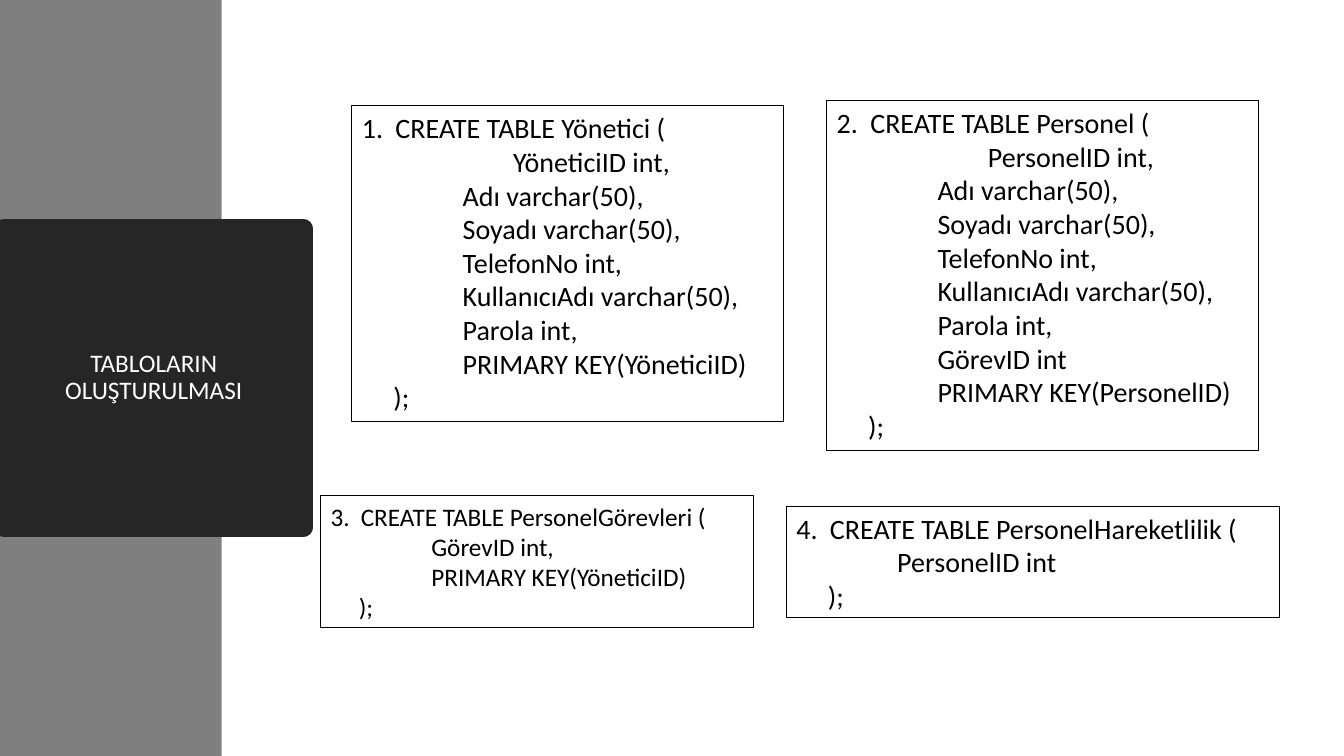
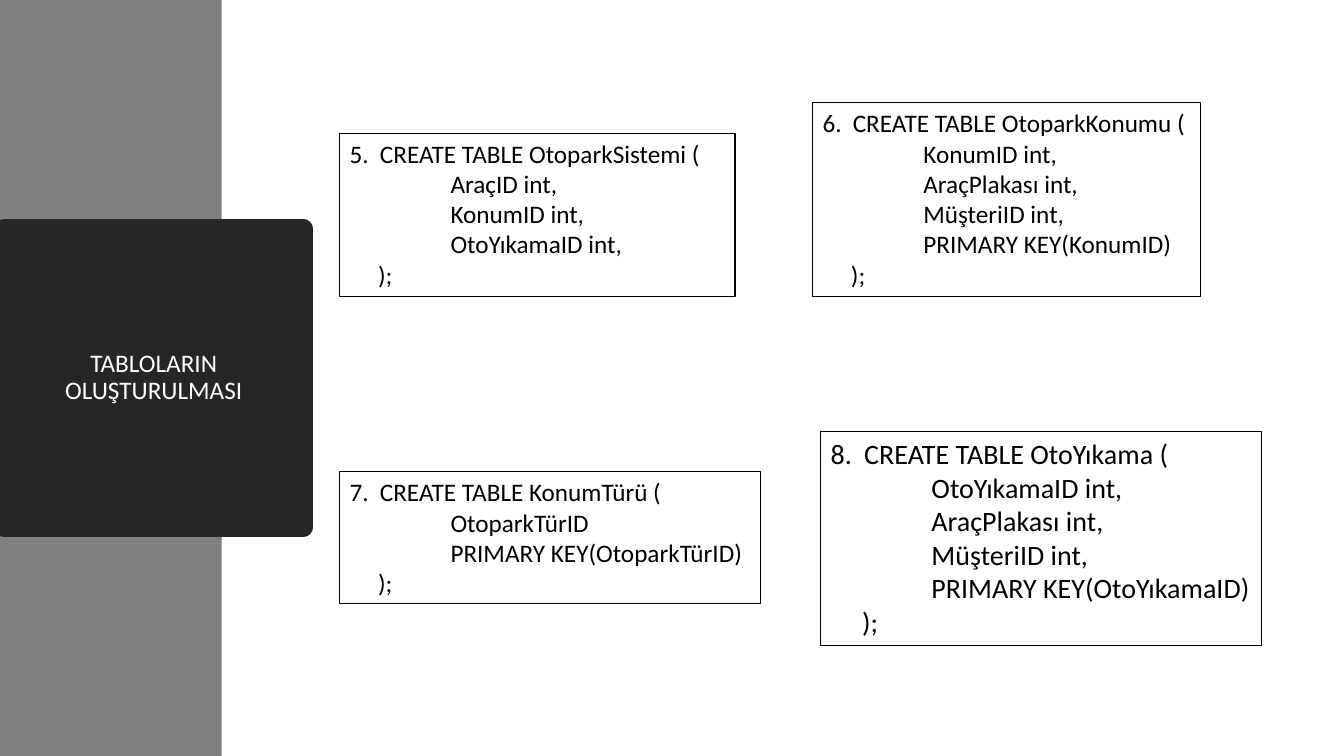
from dataclasses import dataclass

from lxml.etree import SubElement
from pptx import Presentation
from pptx.dml.color import RGBColor
from pptx.enum.shapes import MSO_SHAPE
from pptx.enum.text import MSO_ANCHOR, MSO_AUTO_SIZE, PP_ALIGN
from pptx.oxml.ns import qn
from pptx.util import Inches, Pt


@dataclass(frozen=True)
class Theme:
    font: str = "Calibri"
    rail: RGBColor = RGBColor(0x7F, 0x7F, 0x7F)
    panel: RGBColor = RGBColor(0x26, 0x26, 0x26)
    light: RGBColor = RGBColor(0xFF, 0xFF, 0xFF)
    ink: RGBColor = RGBColor(0, 0, 0)
    small: int = 18
    large: int = 20


T = Theme()
TITLE = "TABLOLARIN OLUŞTURULMASI"
COLUMN = 1.0  # indent of the column lines, inches
DEEP = 1.5  # indent of a first column set further in

# Each table: name, (left, top, width, height), type size, first indent, columns
SLIDES = [
    [
        ("Yönetici", (3.49, 1.05, 4.28, 3.13), T.large, DEEP,
         ["YöneticiID int,", "Adı varchar(50),", "Soyadı varchar(50),",
          "TelefonNo int,", "KullanıcıAdı varchar(50),", "Parola int,",
          "PRIMARY KEY(YöneticiID)"]),
        ("Personel", (8.2, 1, 4.28, 3.47), T.large, DEEP,
         ["PersonelID int,", "Adı varchar(50),", "Soyadı varchar(50),",
          "TelefonNo int,", "KullanıcıAdı varchar(50),", "Parola int,",
          "GörevID int", "PRIMARY KEY(PersonelID)"]),
        ("PersonelGörevleri", (3.18, 4.92, 4.29, 1.31), T.small, COLUMN,
         ["GörevID int,", "PRIMARY KEY(YöneticiID)"]),
        ("PersonelHareketlilik", (7.8, 5.02, 4.89, 1.11), T.large, COLUMN,
         ["PersonelID int"]),
    ],
    [
        ("OtoparkSistemi", (3.37, 1.32, 3.92, 1.62), T.small, COLUMN,
         ["AraçID int,", "KonumID int,", "OtoYıkamaID int,"]),
        ("OtoparkKonumu", (8.06, 1.02, 3.85, 1.92), T.small, COLUMN,
         ["KonumID int,", "AraçPlakası int,", "MüşteriID int,",
          "PRIMARY KEY(KonumID)"]),
        ("KonumTürü", (3.37, 4.68, 4.17, 1.31), T.small, COLUMN,
         ["OtoparkTürID", "PRIMARY KEY(OtoparkTürID)"]),
        ("OtoYıkama", (8.14, 4.28, 4.37, 2.12), T.large, COLUMN,
         ["OtoYıkamaID int,", "AraçPlakası int,", "MüşteriID int,",
          "PRIMARY KEY(OtoYıkamaID)"]),
    ],
]


def style(para, size, color):
    para.font.name = T.font
    para.font.size = Pt(size)
    para.font.color.rgb = color


def paint(shape, color):
    shape.fill.solid()
    shape.fill.fore_color.rgb = color


def add_frame(deck):
    """Add a slide with the side rail and the title panel."""
    slide = deck.slides.add_slide(deck.slide_layouts[5])
    rail = slide.shapes.add_shape(
        MSO_SHAPE.RECTANGLE, 0, 0, Inches(2.2), deck.slide_height)
    rail.shadow.inherit = False
    paint(rail, T.rail)
    rail.line.fill.background()

    # Title panel, in front of the rail, with a thick round-cornered edge
    title = slide.shapes.title
    slide.shapes._spTree.append(title._element)
    title.left, title.top = Inches(0.04), Inches(2.27)
    title.width, title.height = Inches(2.97), Inches(2.96)
    paint(title, T.panel)
    title.line.color.rgb = T.panel
    title.line.width = Pt(13.75)
    SubElement(title.line._get_or_add_ln(), qn("a:round"))
    frame = title.text_frame
    frame.text = TITLE
    frame.word_wrap = True
    frame.auto_size = MSO_AUTO_SIZE.NONE
    frame.vertical_anchor = MSO_ANCHOR.MIDDLE
    para = frame.paragraphs[0]
    para.alignment = PP_ALIGN.CENTER
    para.line_spacing = 0.9
    style(para, T.small, T.light)
    return slide


def add_code(slide, num, name, place, size, first, cols):
    """Add one outlined box with a CREATE TABLE statement."""
    box = slide.shapes.add_textbox(*map(Inches, place))
    box.line.color.rgb = T.ink
    box.line.width = Pt(0.75)
    frame = box.text_frame
    frame.word_wrap = True
    frame.auto_size = MSO_AUTO_SIZE.SHAPE_TO_FIT_TEXT

    indents = [first] + [COLUMN] * (len(cols) - 1)
    close = size / 64  # the closing bracket's indent follows the type size
    lines = [(f"{num}.\tCREATE TABLE {name} (", 0),
             *zip(cols, indents), (");", close)]
    frame.text = "\n".join(text for text, _ in lines)
    for para, (_, indent) in zip(frame.paragraphs, lines):
        style(para, size, T.ink)
        para._p.get_or_add_pPr().set("marL", str(Inches(indent)))

    # Tab stop between the number and the statement
    props = frame.paragraphs[0]._p.get_or_add_pPr()
    tabs = SubElement(props, qn("a:tabLst"))
    SubElement(tabs, qn("a:tab"), pos=str(Inches(size / 60)), algn="l")
    props.insert(0, tabs)


def main():
    deck = Presentation()
    deck.slide_width, deck.slide_height = Inches(13.33), Inches(7.5)
    num = 0
    for tables in SLIDES:
        slide = add_frame(deck)
        for table in tables:
            num += 1
            add_code(slide, num, *table)
    deck.save("out.pptx")


if __name__ == "__main__":
    main()
